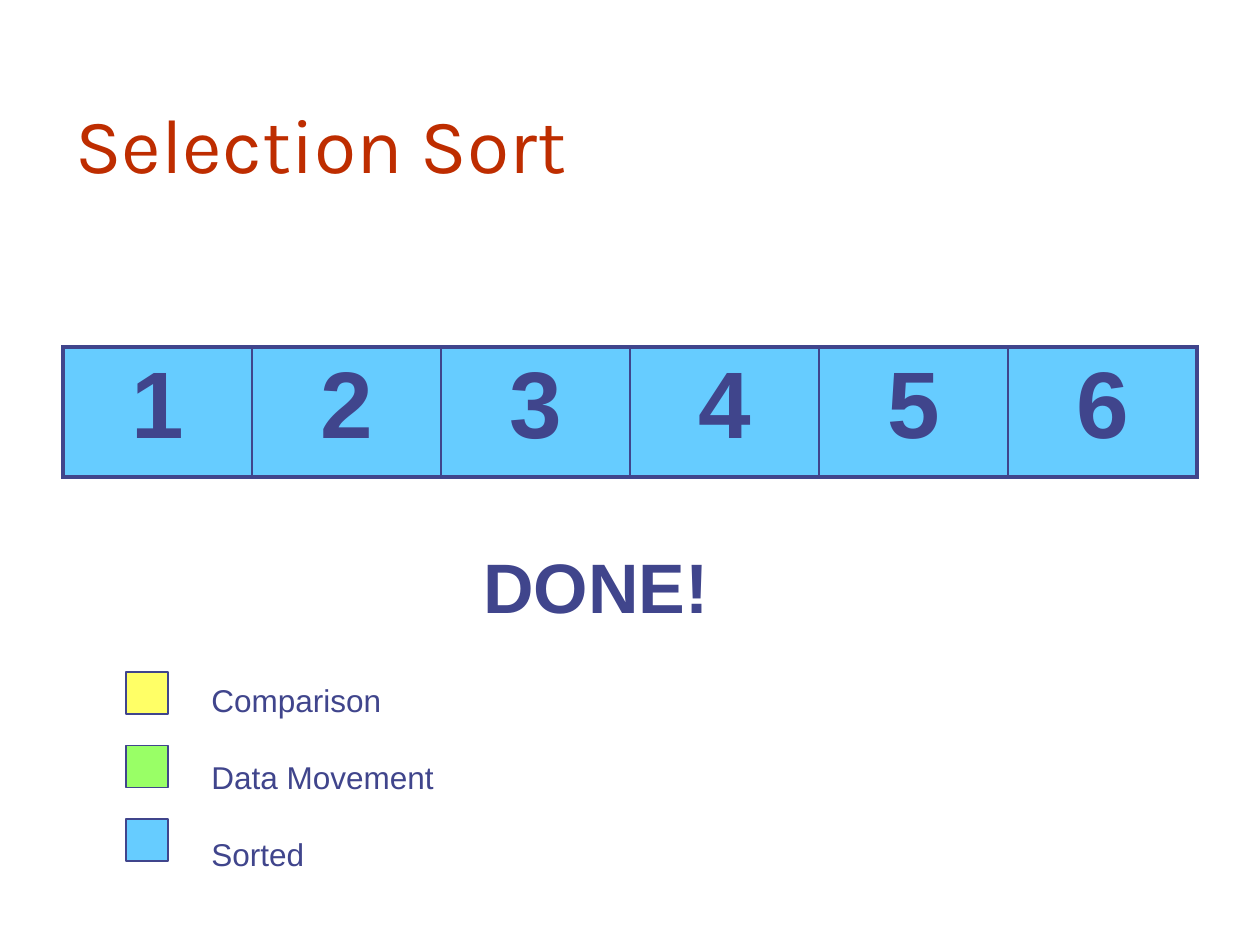
from dataclasses import dataclass

from lxml.etree import SubElement
from pptx import Presentation
from pptx.dml.color import RGBColor as Color
from pptx.enum.shapes import MSO_SHAPE as Shape
from pptx.enum.text import MSO_ANCHOR as Anchor, PP_ALIGN as Align
from pptx.oxml import parse_xml
from pptx.oxml.ns import nsdecls, qn
from pptx.util import Pt

EMU_PER_PX = 914400 / 126
VALUES = "123456"


@dataclass(frozen=True)
class Theme:
    ink: str = "40458C"
    heading: str = "BE2D00"
    comparison: str = "FFFF66"
    movement: str = "99FF66"
    sorted: str = "66CCFF"
    title_font: str = "Karla"
    body_font: str = "Arial"
    title_size: int = 44
    value_size: int = 54
    done_size: int = 40
    legend_size: int = 18
    legend_gap: float = 22.4
    thin: float = 1
    thick: float = 2.25
    swatch_line: float = 0.75


THEME = Theme()


def px(*lengths):
    return [round(length * EMU_PER_PX) for length in lengths]


def apply_format(target, values):
    for name, value in values.items():
        setattr(target, name, value)


def write(para, text, size, color=THEME.ink, font=THEME.body_font, bold=False):
    span = para.add_run()
    span.text = text
    apply_format(span.font, {"name": font, "size": Pt(size), "bold": bold})
    span.font.color.rgb = Color.from_string(color)


def add_text(page, place, lines, size, frame_format, gap=0, **style):
    """Add a text box with one paragraph a line, gap points apart."""
    frame = page.shapes.add_textbox(*px(*place)).text_frame
    apply_format(frame, {"word_wrap": False, **frame_format})
    for index, line in enumerate(lines):
        para = frame.add_paragraph() if index else frame.paragraphs[0]
        para.space_after = Pt(gap)
        write(para, line, size, **style)


def set_borders(cell, widths):
    """Put lines round a cell; widths maps L, R, T, B, in that order, to points."""
    properties = cell._tc.get_or_add_tcPr()
    for index, (side, width) in enumerate(widths.items()):
        line = parse_xml(f'<a:ln{side} {nsdecls("a")} w="{Pt(width)}"/>')
        fill = SubElement(line, qn("a:solidFill"))
        SubElement(fill, qn("a:srgbClr"), val=THEME.ink)
        properties.insert(index, line)


def add_array(page, place, values):
    table = page.shapes.add_table(1, len(values), *px(*place)).table
    apply_format(table, {"first_row": False, "horz_banding": False})
    last = len(values) - 1
    for index, value in enumerate(values):
        cell = table.cell(0, index)
        cell.fill.solid()
        cell.fill.fore_color.rgb = Color.from_string(THEME.sorted)
        para = cell.text_frame.paragraphs[0]
        para.alignment = Align.CENTER
        write(para, value, THEME.value_size, bold=True)
        set_borders(cell, {
            "L": THEME.thick if index == 0 else THEME.thin,
            "R": THEME.thick if index == last else THEME.thin,
            "T": THEME.thick,
            "B": THEME.thick,
        })


def add_swatch(page, left, top, side, color):
    box = page.shapes.add_shape(Shape.RECTANGLE, *px(left, top, side, side))
    box.shadow.inherit = False
    box.fill.solid()
    box.fill.fore_color.rgb = Color.from_string(color)
    box.line.color.rgb = Color.from_string(THEME.ink)
    box.line.width = Pt(THEME.swatch_line)


def add_legend(page, entries):
    top, pitch = 672, 73.5
    for index, color in enumerate(entries.values()):
        add_swatch(page, 126, top + index * pitch, 42, color)
    add_text(page, (199, top, 248, 202), entries, THEME.legend_size,
             {"margin_top": px(9)[0]}, gap=THEME.legend_gap)


def main():
    deck = Presentation()
    deck.slide_width, deck.slide_height = px(1260, 945)
    page = deck.slides.add_slide(deck.slide_layouts[6])

    add_text(page, (63, 16, 1040, 179), ["Selection Sort"], THEME.title_size,
             {"word_wrap": True, "vertical_anchor": Anchor.BOTTOM},
             color=THEME.heading, font=THEME.title_font)
    add_array(page, (63, 347, 1134, 130), VALUES)
    add_legend(page, {
        "Comparison": THEME.comparison,
        "Data Movement": THEME.movement,
        "Sorted": THEME.sorted,
    })
    add_text(page, (471, 532, 251, 97), ["DONE!"], THEME.done_size,
             {"margin_top": px(12)[0], "margin_bottom": 0}, bold=True)

    deck.save("out.pptx")


if __name__ == "__main__":
    main()
